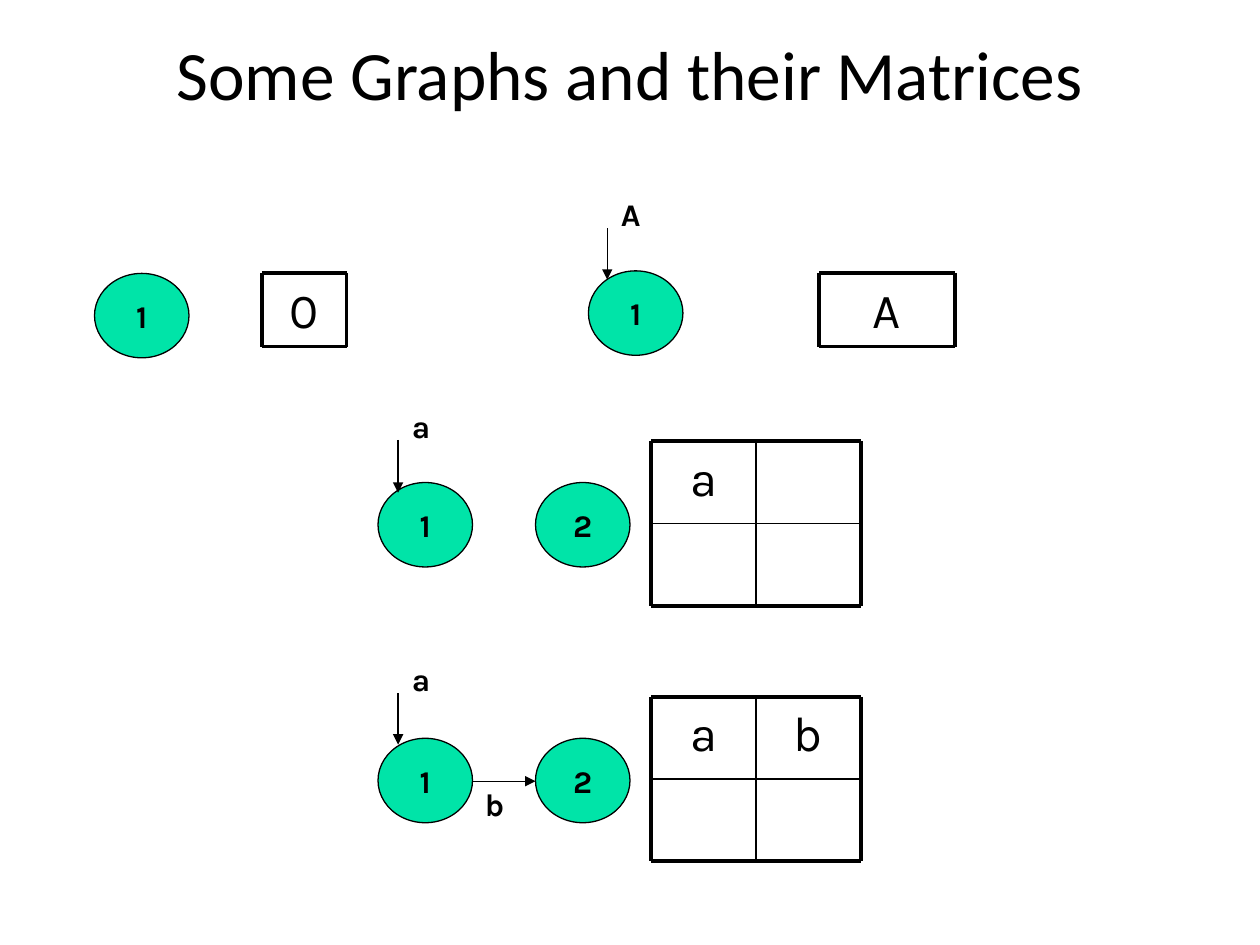
from lxml import etree
from pptx import Presentation
from pptx.dml.color import RGBColor
from pptx.enum.shapes import MSO_CONNECTOR as LINK, MSO_SHAPE
from pptx.enum.text import MSO_ANCHOR as ANCHOR, PP_ALIGN as ALIGN
from pptx.oxml.ns import qn
from pptx.util import Inches, Pt

INK, GREEN = "000000", "00E4A8"
THICK, THIN, FINE = 2.25, 1, 0.75


def write(frame, text, size, font="Karla", bold=False, align=ALIGN.CENTER, before=0):
    paragraph = frame.paragraphs[0]
    paragraph.alignment = align
    paragraph.space_before = Pt(before)
    run = paragraph.add_run()
    run.text = text
    formats = {"name": font, "size": Pt(size), "bold": bold}
    for attribute, value in formats.items():
        setattr(run.font, attribute, value)
    run.font.color.rgb = RGBColor.from_string(INK)


def draw_line(start, end, weight, kind=LINK.STRAIGHT, arrow=False):
    line = shapes.add_connector(kind, *map(Inches, start + end))
    line.line.color.rgb = RGBColor.from_string(INK)
    line.line.width = Pt(weight)
    outline = line.line._get_or_add_ln()
    if arrow:
        etree.SubElement(outline, qn("a:tailEnd"), type="triangle")
    etree.SubElement(outline.getparent(), qn("a:effectLst"))


prs = Presentation()
prs.slide_width, prs.slide_height = Inches(10), Inches(7.5)
slide = prs.slides.add_slide(prs.slide_layouts[6])
shapes = slide.shapes

# Title
title = shapes.add_textbox(Inches(1), Inches(0.07), Inches(8), Inches(1.02)).text_frame
title.word_wrap = True
title.vertical_anchor = ANCHOR.MIDDLE
write(title, "Some Graphs and their Matrices", 39.6, font="Calibri")

# Graph nodes: left, top, number
nodes = [
    (0.75, 2.17, "1"), (4.67, 2.15, "1"),
    (3, 3.83, "1"), (4.25, 3.83, "2"),
    (3, 5.86, "1"), (4.25, 5.86, "2"),
]
for left, top, number in nodes:
    node = shapes.add_shape(MSO_SHAPE.OVAL, Inches(left), Inches(top),
                            Inches(0.75), Inches(0.67))
    node.shadow.inherit = False
    node.fill.solid()
    node.fill.fore_color.rgb = RGBColor.from_string(GREEN)
    node.line.color.rgb = RGBColor.from_string(INK)
    node.line.width = Pt(FINE)
    node.text_frame.word_wrap = False
    node.text_frame.vertical_anchor = ANCHOR.MIDDLE
    write(node.text_frame, number, 18, bold=True)

# Edges: kind, start, end, label, label position
edges = [
    (LINK.CURVE, (4.82, 1.81), (4.82, 2.22), "A", (4.83, 1.5)),
    (LINK.CURVE, (3.16, 3.49), (3.16, 3.91), "a", (3.17, 3.18)),
    (LINK.CURVE, (3.16, 5.5), (3.16, 5.91), "a", (3.17, 5.19)),
    (LINK.STRAIGHT, (3.75, 6.2), (4.25, 6.2), "b", (3.75, 6.18)),
]
for kind, start, end, name, (left, top) in edges:
    draw_line(start, end, FINE, kind, arrow=True)
    label = shapes.add_textbox(Inches(left), Inches(top), Inches(0.92), Inches(0.4))
    label.text_frame.word_wrap = True
    write(label.text_frame, name, 18, bold=True, align=ALIGN.LEFT)

# Matrices: left, top, width, height, cells per side, first-row entries
matrices = [
    (2.08, 2.17, 0.67, 0.58, 1, "0"),
    (6.5, 2.17, 1.08, 0.58, 1, "A"),
    (5.17, 3.5, 1.66, 1.31, 2, "a"),
    (5.17, 5.53, 1.66, 1.3, 2, "ab"),
]
for left, top, width, height, count, entries in matrices:
    cell_width, cell_height = width / count, height / count
    right, bottom = left + width, top + height
    for column, entry in enumerate(entries):
        cell = shapes.add_textbox(Inches(left + column * cell_width), Inches(top),
                                  Inches(cell_width), Inches(cell_height))
        cell.text_frame.word_wrap = True
        write(cell.text_frame, entry, 28, before=7)
    for i in range(count + 1):
        weight = THICK if i in (0, count) else THIN
        x, y = left + i * cell_width, top + i * cell_height
        draw_line((left, y), (right, y), weight)
        draw_line((x, top), (x, bottom), weight)

prs.save("out.pptx")
